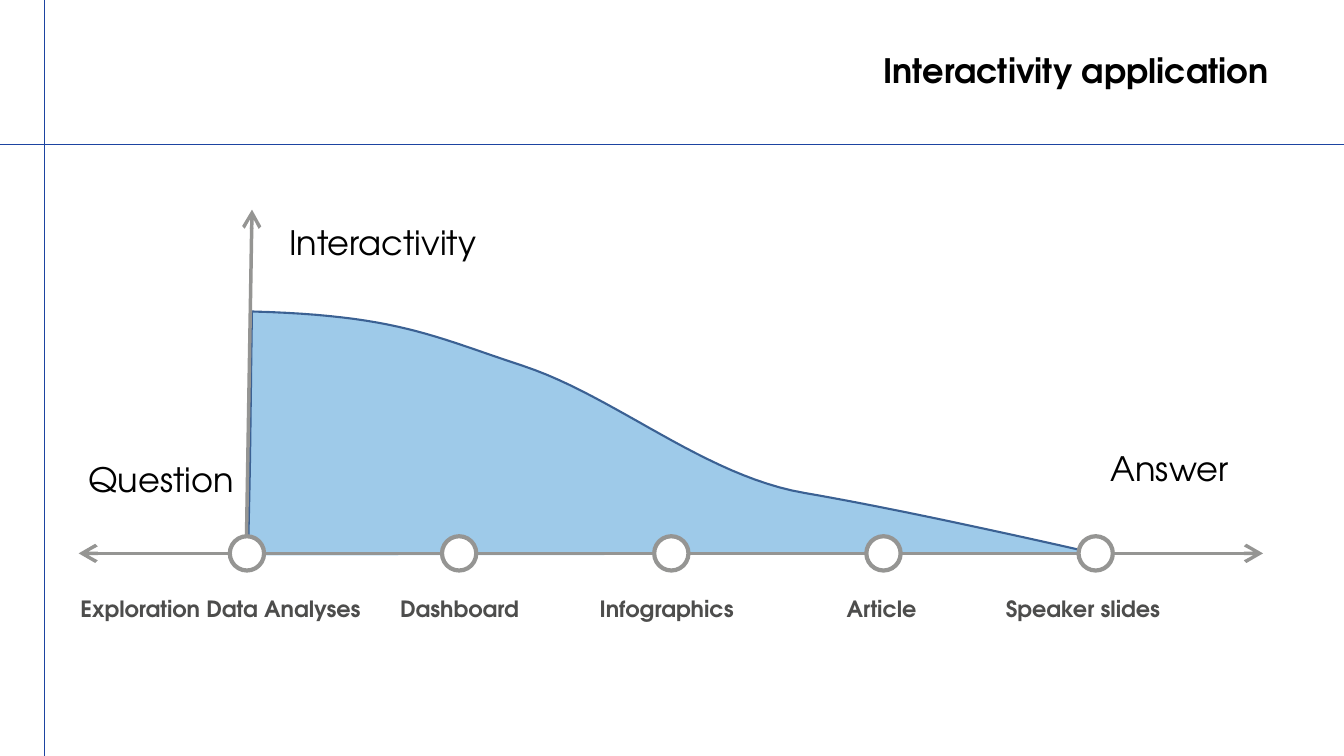
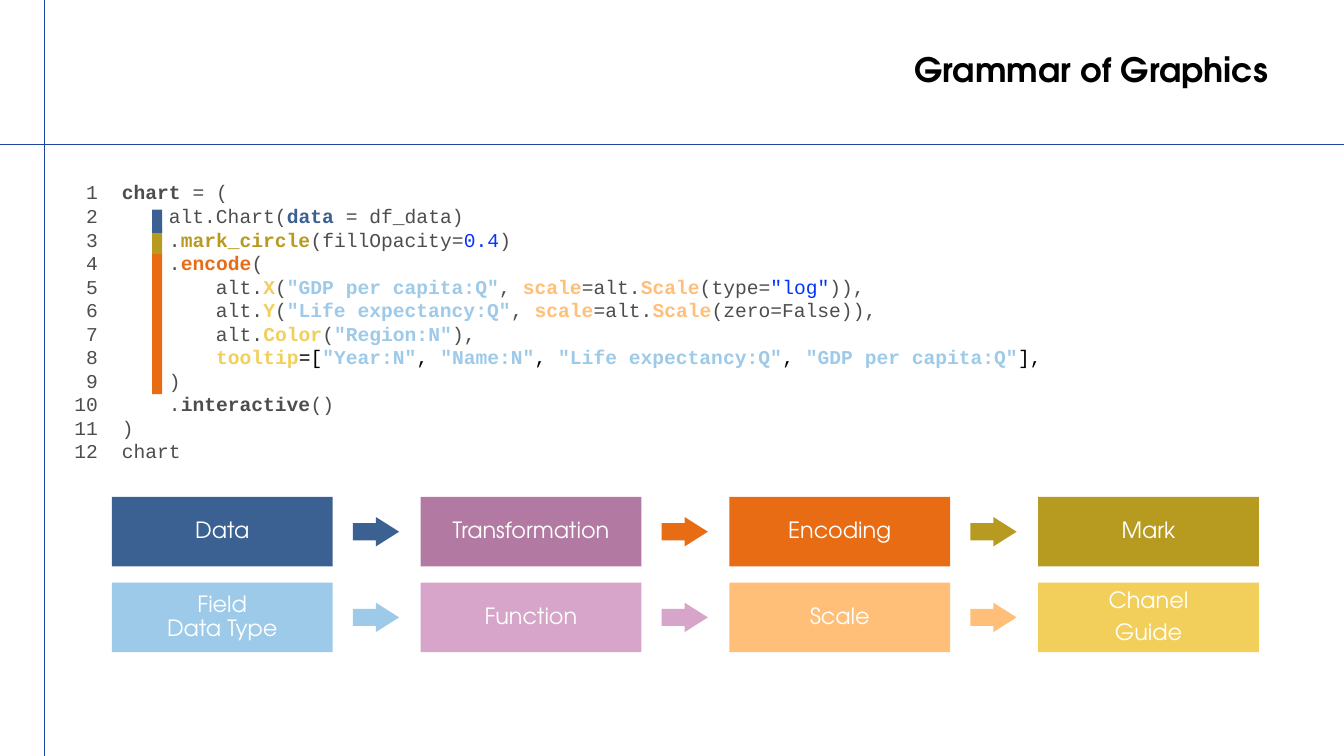
"""Build two slides: where interactivity applies, and the grammar of graphics."""
from lxml import etree
from pptx import Presentation
from pptx import util as u
from pptx.dml.color import RGBColor
from pptx.enum import dml, shapes, text
from pptx.oxml.ns import qn

CELL = u.Inches(0.1)
WIDTH, HEIGHT = 133.33, 75
SANS, MONO = "TeX Gyre Adventor", "Courier New"
BLACK = RGBColor(0x00, 0x00, 0x00)
WHITE = RGBColor(0xFF, 0xFF, 0xFF)
GREY = RGBColor(0x4D, 0x4D, 0x4C)
AXIS = RGBColor(0x95, 0x95, 0x93)
GUIDE = RGBColor(0x1D, 0x44, 0xA1)
LITERAL = RGBColor(0x04, 0x33, 0xFF)
BLUE = RGBColor(0x3B, 0x61, 0x93)
SKY = RGBColor(0x9E, 0xCA, 0xE9)
PLUM = RGBColor(0xB2, 0x79, 0xA2)
PINK = RGBColor(0xD6, 0xA5, 0xC9)
ORANGE = RGBColor(0xE8, 0x6C, 0x14)
PEACH = RGBColor(0xFF, 0xBF, 0x79)
MUSTARD = RGBColor(0xB7, 0x9A, 0x20)
YELLOW = RGBColor(0xF2, 0xCF, 0x5B)


def at(*cells):
    """Turn columns and rows of the grid into lengths."""
    return [u.Emu(round(cell * CELL)) for cell in cells]


def paint(shape, fill, outline=None, weight=0):
    """Give a shape a flat fill and, if asked, an outline."""
    shape.shadow.inherit = False
    shape.fill.solid()
    shape.fill.fore_color.rgb = fill
    if outline is None:
        shape.line.fill.background()
    else:
        shape.line.color.rgb = outline
        shape.line.width = u.Pt(weight)


prs = Presentation()
prs.slide_width, prs.slide_height = at(WIDTH, HEIGHT)
layout = prs.slide_layouts[5]
heading = layout.placeholders[0]
heading.left, heading.top, heading.width, heading.height = at(17.3, 4.8, 109.5, 4.8)

pages = []
for wording, anchor in (
    ("Interactivity application", text.MSO_ANCHOR.MIDDLE),
    ("Grammar of Graphics", text.MSO_ANCHOR.TOP),
):
    page = prs.slides.add_slide(layout)
    frame = page.shapes.title.text_frame
    frame.text = wording
    frame.vertical_anchor = anchor
    frame.auto_size = text.MSO_AUTO_SIZE.NONE
    paragraph = frame.paragraphs[0]
    paragraph.alignment = text.PP_ALIGN.RIGHT
    paragraph.line_spacing = 0.9
    font = paragraph.runs[0].font
    font.name, font.size, font.bold = SANS, u.Pt(24), True
    font.color.rgb = BLACK
    pages.append(page)
interactivity, grammar = pages

CURVE_START = (24.6, 55.1)
CURVE = [
    ((24.9, 42.9), (24.8, 44.2), (25, 30.9)),
    ((39.3, 31.3), (42.8, 33.3), (51.9, 36.3)),
    ((61, 39.3), (69.9, 47.2), (79.8, 48.9)),
    ((89.7, 50.6), (104.3, 53.9), (109.1, 55)),
]
STEPS = 24
outline = []
start = CURVE_START
for first, second, end in CURVE:
    for step in range(1, STEPS + 1):
        t = step / STEPS
        outline.append(at(*(
            (1 - t) ** 3 * a + 3 * t * (1 - t) ** 2 * b + 3 * t ** 2 * (1 - t) * c + t ** 3 * d
            for a, b, c, d in zip(start, first, second, end)
        )))
    start = end
builder = interactivity.shapes.build_freeform(*at(*CURVE_START))
builder.add_line_segments(outline, close=False)
paint(builder.convert_to_shape(), SKY, BLUE, 1.5)

for host, ends, colour, weight in (
    (layout, (0, 14.3, WIDTH, 14.3), GUIDE, 0.25),
    (layout, (4.4, 0, 4.4, HEIGHT), GUIDE, 0.25),
    (interactivity, (25, 20.8, 24.4, 56.5), AXIS, 2.5),
    (interactivity, (7.8, 54.9, 125.3, 54.9), AXIS, 2.5),
):
    rule = interactivity.shapes.add_connector(shapes.MSO_CONNECTOR.STRAIGHT, *at(*ends))
    rule.line.color.rgb = colour
    rule.line.width = u.Pt(weight)
    if host is layout:
        rule.line.dash_style = dml.MSO_LINE.ROUND_DOT
    else:
        for tip in ("a:headEnd", "a:tailEnd"):
            etree.SubElement(
                rule.line._get_or_add_ln(), qn(tip), type="arrow", w="lg", len="lg")
    etree.SubElement(rule.element.spPr, qn("a:effectLst"))
    host.shapes.element.append(rule.element)

for stage in range(5):
    marker = interactivity.shapes.add_shape(
        shapes.MSO_SHAPE.OVAL, *at(22.8 + 21.05 * stage, 53.2, 3.4, 3.4))
    paint(marker, WHITE, AXIS, 3)

AXIS_LABELS = [
    ("Interactivity", 27.7, 21.9, 31.1),
    ("Question", 7.8, 45.4, 17.9),
    ("Answer", 109.2, 44.3, 15),
]
STAGES = [
    ("Exploration Data Analyses", 7, 32.6),
    ("Dashboard", 38.7, 17.8),
    ("Infographics", 58.5, 17.8),
    ("Article", 83, 9.5),
    ("Speaker slides", 98.8, 18.6),
]
labels = [(*label, 24, BLACK) for label in AXIS_LABELS]
labels += [(name, left, 58.1, width, 16, GREY) for name, left, width in STAGES]
for wording, left, top, width, size, colour in labels:
    frame = interactivity.shapes.add_textbox(*at(left, top, width, 4.8)).text_frame
    frame.word_wrap = True
    frame.vertical_anchor = text.MSO_ANCHOR.MIDDLE
    frame.text = wording
    frame.paragraphs[0].line_spacing = 0.9
    font = frame.paragraphs[0].runs[0].font
    font.name, font.size, font.bold = SANS, u.Pt(size), colour == GREY
    font.color.rgb = colour

CODE = """|chart| = (
    alt.Chart(|data| = df_data)
    .|mark_circle|(fillOpacity=|0.4|)
    .|encode|(
        alt.|X|(|"GDP per capita:Q"|, |scale|=alt.|Scale|(type=|"log"|)),
        alt.|Y|(|"Life expectancy:Q"|, |scale|=alt.|Scale|(zero=False)),
        alt.|Color|(|"Region:N"|),
        |tooltip|=[|"Year:N"|, |"Name:N"|, |"Life expectancy:Q"|, |"GDP per capita:Q"|],
    )
    .|interactive|()
)
chart""".split("\n")
INKS = {
    "chart": GREY, "interactive": GREY, "data": BLUE, "mark_circle": MUSTARD,
    "encode": ORANGE, "X": YELLOW, "Y": YELLOW, "Color": YELLOW, "tooltip": YELLOW,
    "scale": PEACH, "Scale": PEACH, "0.4": LITERAL, '"log"': LITERAL,
}
NUMBERS = [str(number + 1) for number in range(len(CODE))]
for lines, left, width, alignment in (
    (CODE, 11.1, 98.8, text.PP_ALIGN.LEFT),
    (NUMBERS, 4.7, 6, text.PP_ALIGN.RIGHT),
):
    frame = grammar.shapes.add_textbox(*at(left, 17.4, width, 29.2)).text_frame
    frame.word_wrap = True
    for index, line in enumerate(lines):
        paragraph = frame.add_paragraph() if index else frame.paragraphs[0]
        paragraph.alignment = alignment
        plain = BLACK if "tooltip" in line else GREY
        for position, part in enumerate(line.split("|")):
            if not part:
                continue
            marked = position % 2 == 1
            ink = INKS.get(part, SKY) if marked else plain
            run = paragraph.add_run()
            run.text = part
            run.font.name, run.font.size = MONO, u.Pt(14)
            run.font.bold = marked and ink != LITERAL
            run.font.color.rgb = ink

for top, height, colour in ((25.2, 13.9, ORANGE), (22.5, 2.7, MUSTARD), (20.8, 2.3, BLUE)):
    bar = grammar.shapes.add_shape(shapes.MSO_SHAPE.RECTANGLE, *at(15.1, top, 1, height))
    paint(bar, colour)

FLOWS = [
    (49.3, [("Data", BLUE), ("Transformation", PLUM), ("Encoding", ORANGE), ("Mark", MUSTARD)],
     [BLUE, ORANGE, MUSTARD]),
    (57.8, [("Field\vData Type", SKY), ("Function", PINK), ("Scale", PEACH),
            ("Chanel\nGuide", YELLOW)],
     [SKY, PINK, PEACH]),
]
for top, steps, arrow_colours in FLOWS:
    lefts = [11.1 + 30.63 * column for column in range(len(steps))]
    for left, (wording, colour) in zip(lefts, steps):
        step_box = grammar.shapes.add_shape(
            shapes.MSO_SHAPE.RECTANGLE, *at(left, top, 21.9, 6.9))
        paint(step_box, colour)
        frame = step_box.text_frame
        frame.text = wording
        frame.vertical_anchor = text.MSO_ANCHOR.MIDDLE
        frame.margin_left, frame.margin_top, frame.margin_right, frame.margin_bottom = at(*[0.9] * 4)
        for paragraph in frame.paragraphs:
            paragraph.alignment = text.PP_ALIGN.CENTER
            paragraph.line_spacing = 0.9
            paragraph.space_after = u.Pt(6)
            for run in paragraph.runs:
                run.font.name, run.font.size = SANS, u.Pt(16)
                run.font.color.rgb = WHITE
    for left, colour in zip(lefts, arrow_colours):
        arrow = grammar.shapes.add_shape(
            shapes.MSO_SHAPE.RIGHT_ARROW, *at(left + 23.9, top + 2, 4.6, 2.9))
        arrow.adjustments[0], arrow.adjustments[1] = 0.59, 0.79
        paint(arrow, colour)

prs.save("out.pptx")
